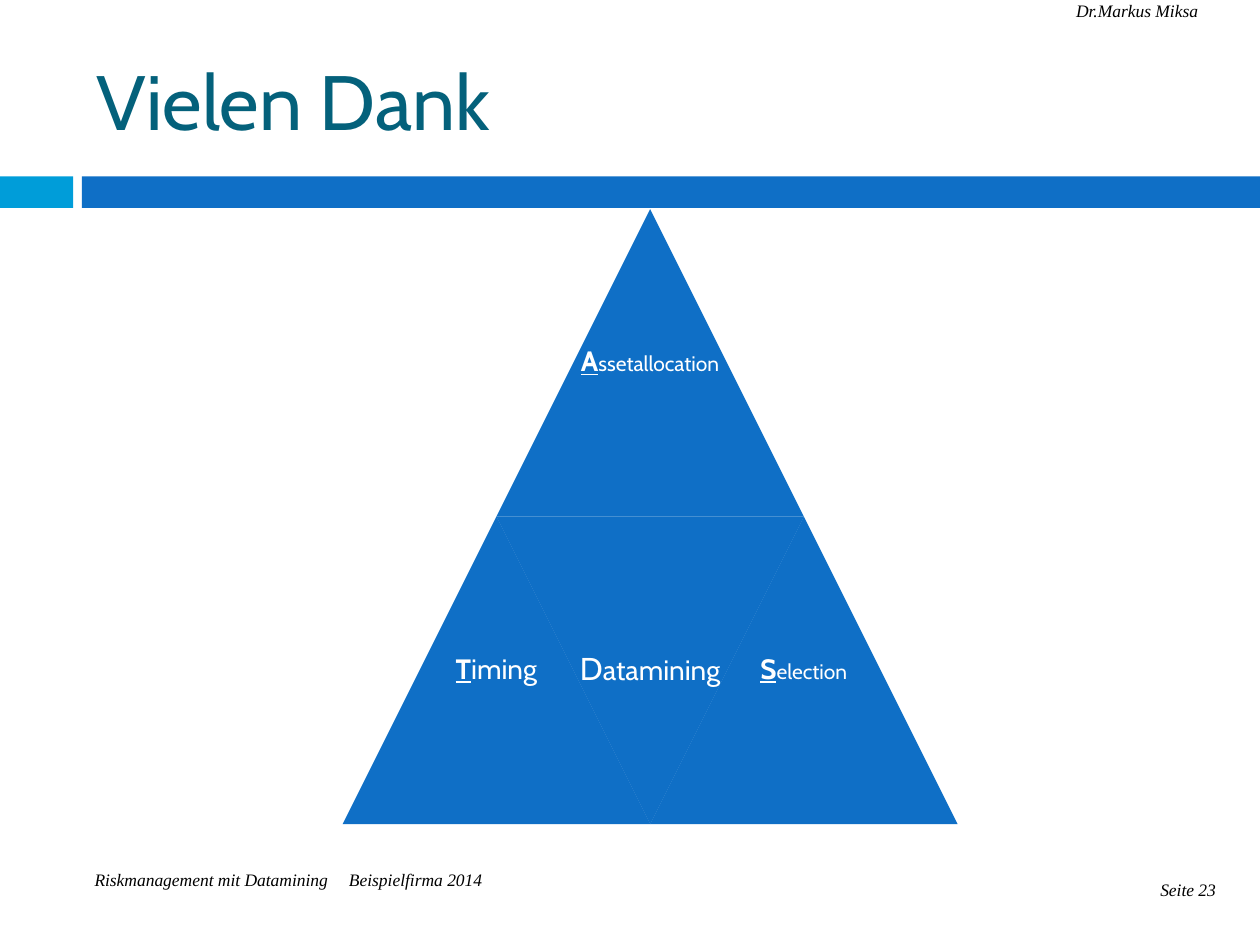
from pptx import Presentation
from pptx.dml.color import RGBColor
from pptx.enum.shapes import MSO_SHAPE as SHAPE
from pptx.enum.text import MSO_ANCHOR as ANCHOR, PP_ALIGN as ALIGN
from pptx.util import Inches, Pt

COLORS = {"blue": "0F6FC6", "cyan": "009DD9", "title": "04617B",
          "white": "FFFFFF", "black": "000000"}


def rgb(name):
    return RGBColor.from_string(COLORS[name])


def add_text(slide, box, runs, font="Cabin", color="black", align=ALIGN.LEFT,
             anchor=ANCHOR.TOP, inset=0, italic=False, line_spacing=None):
    """Place one paragraph; each run is (text, size, emphasised)."""
    frame = slide.shapes.add_textbox(*map(Inches, box)).text_frame
    frame.word_wrap = True
    frame.vertical_anchor = anchor
    frame.margin_left = frame.margin_right = Inches(inset)
    frame.margin_top = frame.margin_bottom = Inches(inset)
    paragraph = frame.paragraphs[0]
    paragraph.alignment = align
    paragraph.line_spacing = line_spacing
    for text, size, emphasised in runs:
        run = paragraph.add_run()
        run.text = text
        run.font.name = font
        run.font.size = Pt(size)
        run.font.bold = run.font.underline = emphasised
        run.font.italic = italic
        run.font.color.rgb = rgb(color)


def add_filled(slide, preset, box, color, rotation=0):
    shape = slide.shapes.add_shape(preset, *map(Inches, box))
    shape.shadow.inherit = False
    shape.fill.solid()
    shape.fill.fore_color.rgb = rgb(color)
    shape.line.fill.background()
    shape.rotation = rotation


def add_title_band(slide, left, top, width, height):
    accent, gap = 0.58, 0.07
    add_filled(slide, SHAPE.RECTANGLE, (left, top, accent, height), "cyan")
    bar = accent + gap
    add_filled(slide, SHAPE.RECTANGLE,
               (left + bar, top, width - bar, height), "blue")


def add_margin_notes(slide, width, height):
    notes = [
        (0.75, height - 0.6, 1.95, "Riskmanagement mit Datamining", ALIGN.LEFT),
        (2.77, height - 0.6, 2.5, "Beispielfirma 2014", ALIGN.LEFT),
        (width - 1.46, 0, 1.26, "Dr.Markus Miksa", ALIGN.LEFT),
        (width - 1.14, height - 0.52, 0.79, "Seite 23", ALIGN.RIGHT),
    ]
    for left, top, note_width, text, align in notes:
        add_text(slide, (left, top, note_width, 0.34), [(text, 10, False)],
                 font="Times New Roman", align=align, italic=True)


def add_pyramid(slide, left, top, size):
    """Four triangles of half the size; the middle one points down."""
    half = size / 2
    parts = [
        (0.5, 0, 0, [("A", 16, True), ("ssetallocation", 12, False)]),
        (0, 1, 0, [("T", 16, True), ("iming", 16, False)]),
        (0.5, 1, 180, [("D", 18, False), ("atamining", 16, False)]),
        (1, 1, 0, [("S", 16, True), ("election", 12, False)]),
    ]
    for column, row, rotation, runs in parts:
        box = (left + column * half, top + row * half, half, half)
        add_filled(slide, SHAPE.ISOSCELES_TRIANGLE, box, "blue", rotation)
        add_text(slide, box, runs, color="white", align=ALIGN.CENTER,
                 anchor=ANCHOR.MIDDLE, inset=0.07, line_spacing=0.9)


def main():
    width, height = 10, 7.5
    deck = Presentation()
    deck.slide_width, deck.slide_height = Inches(width), Inches(height)
    slide = deck.slides.add_slide(deck.slide_layouts[6])
    add_title_band(slide, 0, 1.4, width, 0.25)
    add_margin_notes(slide, width, height)
    add_text(slide, (0.67, 0.25, 8.92, 1.08), [("Vielen Dank", 44, False)],
             color="title", anchor=ANCHOR.MIDDLE, inset=0.1)
    add_pyramid(slide, 2.72, 1.66, 4.88)
    deck.save("out.pptx")


if __name__ == "__main__":
    main()
